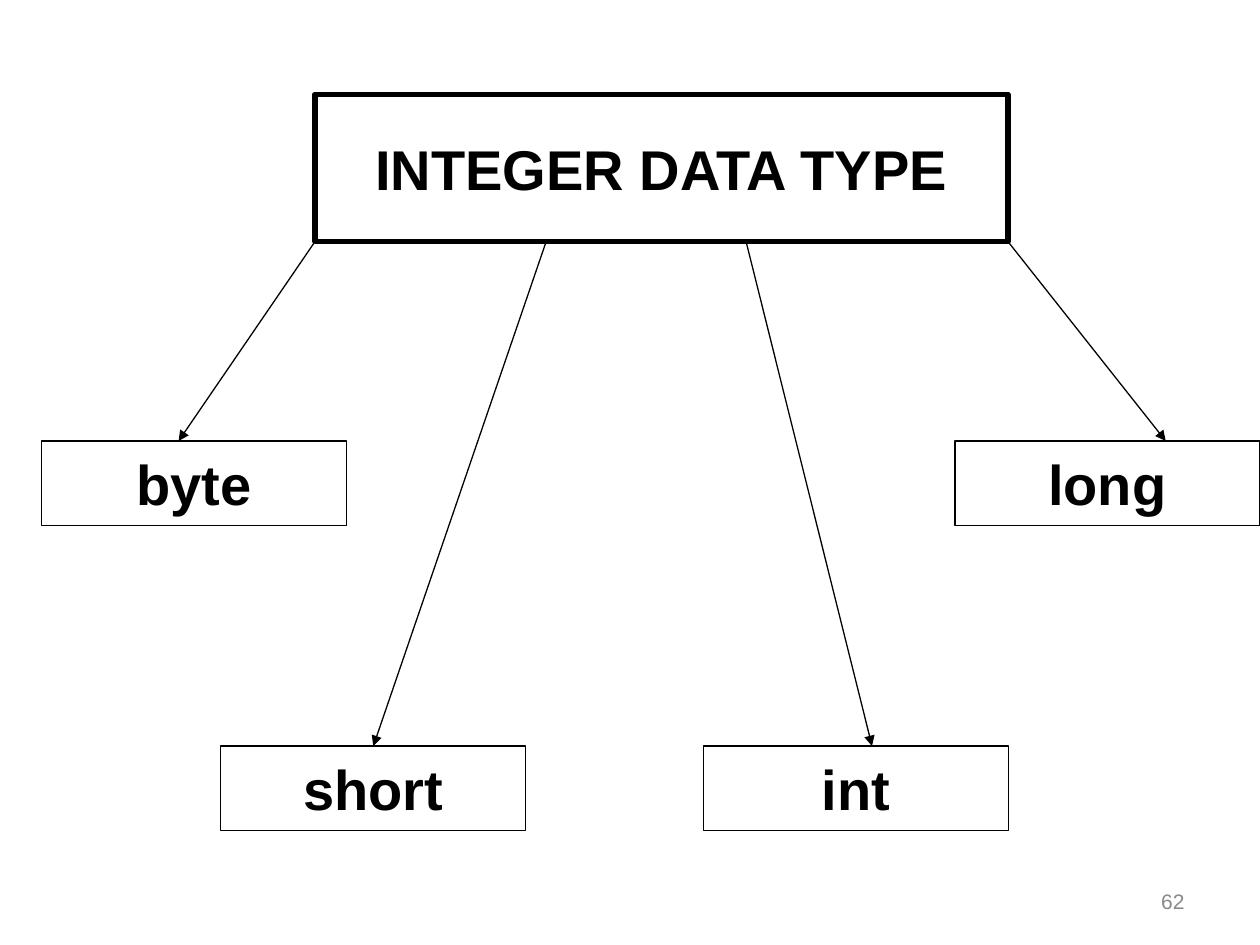
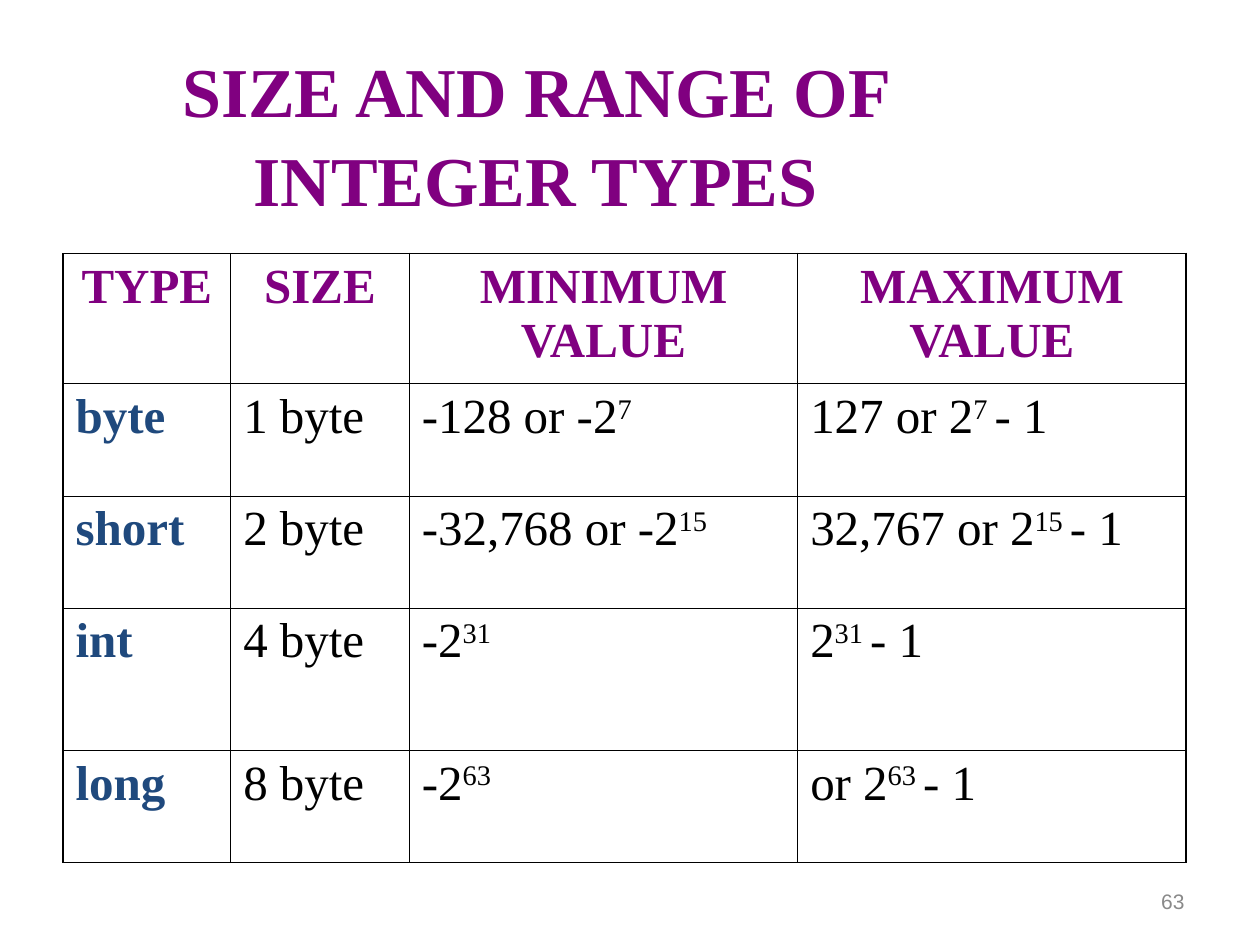
import pptx
import pptx.dml.color
import pptx.enum.shapes
import pptx.enum.text
import pptx.oxml
import pptx.oxml.ns
import pptx.util

Cm = pptx.util.Cm
Pt = pptx.util.Pt
ALIGN = pptx.enum.text.PP_ALIGN
ANCHOR = pptx.enum.text.MSO_ANCHOR

BLACK = "000000"
PURPLE = "800080"
NAVY = "1F497D"
GRAY = "898989"
SANS = "Arial"
SERIF = "Times New Roman"
TITLE_ONLY, BLANK = 5, 6

TYPE_WIDTH, TYPE_HEIGHT = 6.15, 1.7
DATA_TYPES = [
    ("byte", 0.84, 8.89, 6.35, 3.6),
    ("short", 4.45, 15.04, 11.01, 7.41),
    ("int", 14.18, 15.04, 15.04, 17.58),
    ("long", 19.25, 8.89, 20.32, 23.5),
]

COLUMN_WIDTHS = [3.38, 3.6, 7.83, 7.83]
ROW_HEIGHTS = [2.62, 2.26, 2.26, 2.87, 2.26]
RANGES = [
    ["TYPE", "SIZE", "MINIMUM VALUE", "MAXIMUM VALUE"],
    ["byte", "1 byte", "-128 or -2^7", "127 or 2^7 ^- 1"],
    ["short", "2 byte", "-32,768 or -2^15", "32,767 or 2^15 ^- 1"],
    ["int", "4 byte", "-2^31", "2^31 ^- 1"],
    ["long", "8 byte", "-2^63", "or 2^63 ^- 1"],
]
OUTER_BORDER, INNER_BORDER = 1.08, 0.45


def rgb(hex_color):
    return pptx.dml.color.RGBColor.from_string(hex_color)


def write_text(frame, text, size=28, font=SANS, color=BLACK, bold=False,
               align=ALIGN.LEFT, anchor=ANCHOR.MIDDLE, wrap=True):
    frame.word_wrap = wrap
    frame.vertical_anchor = anchor
    paragraph = frame.paragraphs[0]
    paragraph.alignment = align
    for index, part in enumerate(text.split("^")):
        run = paragraph.add_run()
        run.text = part
        run.font.size = Pt(size)
        run.font.name = font
        run.font.bold = bold
        run.font.color.rgb = rgb(color)
        if index % 2:
            run.font._element.set("baseline", "30000")
    return paragraph


def add_box(slide, text, left, top, width, height, border):
    box = slide.shapes.add_shape(
        pptx.enum.shapes.MSO_SHAPE.RECTANGLE,
        Cm(left), Cm(top), Cm(width), Cm(height))
    box.shadow.inherit = False
    box.fill.background()
    box.line.color.rgb = rgb(BLACK)
    box.line.width = Pt(border)
    write_text(box.text_frame, text, size=32, bold=True,
               align=ALIGN.CENTER, wrap=False)
    return box


def add_arrow(slide, start_x, start_y, end_x, target):
    arrow = slide.shapes.add_connector(
        pptx.enum.shapes.MSO_CONNECTOR.STRAIGHT,
        Cm(start_x), start_y, Cm(end_x), target.top)
    if abs(arrow.end_x - target.left - target.width // 2) < Cm(0.2):
        arrow.end_connect(target, 0)
    arrow.line.color.rgb = rgb(BLACK)
    arrow.line.width = Pt(0.75)
    line = arrow.line._get_or_add_ln()
    line.append(pptx.oxml.parse_xml(
        f'<a:tailEnd {pptx.oxml.ns.nsdecls("a")} type="triangle"/>'))
    arrow._element.spPr.append(pptx.oxml.parse_xml(
        f'<a:effectLst {pptx.oxml.ns.nsdecls("a")}/>'))


def add_page_number(slide, number):
    footer = slide.shapes.add_textbox(Cm(18.2), Cm(17.65), Cm(5.93), Cm(1.02))
    write_text(footer.text_frame, str(number), size=12, color=GRAY,
               align=ALIGN.RIGHT)


def add_title(slide, text):
    title = slide.shapes.title
    title.left, title.top = Cm(0), Cm(1.07)
    title.width, title.height = Cm(21.59), Cm(3.18)
    frame = title.text_frame
    frame.auto_size = pptx.enum.text.MSO_AUTO_SIZE.NONE
    frame.margin_left = frame.margin_right = Cm(1.2)
    paragraph = write_text(frame, text, size=40, font=SERIF, color=PURPLE,
                           bold=True, align=ALIGN.CENTER)
    paragraph.line_spacing = 1.05


def set_borders(cell, widths):
    properties = cell._tc.get_or_add_tcPr()
    for side, width in widths.items():
        properties.append(pptx.oxml.parse_xml(
            f'<a:ln{side} {pptx.oxml.ns.nsdecls("a")} w="{Pt(width)}">'
            f'<a:solidFill><a:srgbClr val="{BLACK}"/></a:solidFill>'
            f'</a:ln{side}>'))


def cell_format(row, column):
    if row == 0:
        return dict(color=PURPLE, bold=True, align=ALIGN.CENTER)
    if column == 0:
        return dict(color=NAVY, bold=True)
    return {}


def add_range_table(slide):
    last_row, last_column = len(RANGES) - 1, len(COLUMN_WIDTHS) - 1
    table = slide.shapes.add_table(
        len(RANGES), len(COLUMN_WIDTHS), Cm(1.27), Cm(5.11),
        Cm(sum(COLUMN_WIDTHS)), Cm(sum(ROW_HEIGHTS))).table
    table.first_row = False
    table.horz_banding = False
    for column, width in zip(table.columns, COLUMN_WIDTHS):
        column.width = Cm(width)
    for row, height in zip(table.rows, ROW_HEIGHTS):
        row.height = Cm(height)
    for row, values in enumerate(RANGES):
        for column, value in enumerate(values):
            cell = table.cell(row, column)
            outer = {
                "L": column == 0,
                "R": column == last_column,
                "T": row == 0 and column > 0,
                "B": row == last_row,
            }
            set_borders(cell, {side: OUTER_BORDER if edge else INNER_BORDER
                               for side, edge in outer.items()})
            cell.fill.background()
            write_text(cell.text_frame, value, font=SERIF, anchor=ANCHOR.TOP,
                       **cell_format(row, column))


def build_type_tree(deck):
    slide = deck.slides.add_slide(deck.slide_layouts[BLANK])
    add_page_number(slide, 62)
    root = add_box(slide, "INTEGER DATA TYPE", 6.35, 1.9, 13.97, 2.97, 3)
    for name, left, top, start_x, end_x in DATA_TYPES:
        data_type = add_box(slide, name, left, top,
                            TYPE_WIDTH, TYPE_HEIGHT, 0.75)
        add_arrow(slide, start_x, root.top + root.height, end_x, data_type)


def build_range_slide(deck):
    slide = deck.slides.add_slide(deck.slide_layouts[TITLE_ONLY])
    add_page_number(slide, 63)
    add_title(slide, "SIZE AND RANGE OF INTEGER TYPES")
    add_range_table(slide)


def main():
    deck = pptx.Presentation()
    deck.slide_width, deck.slide_height = Cm(25.4), Cm(19.05)
    build_type_tree(deck)
    build_range_slide(deck)
    deck.save("out.pptx")


if __name__ == "__main__":
    main()
